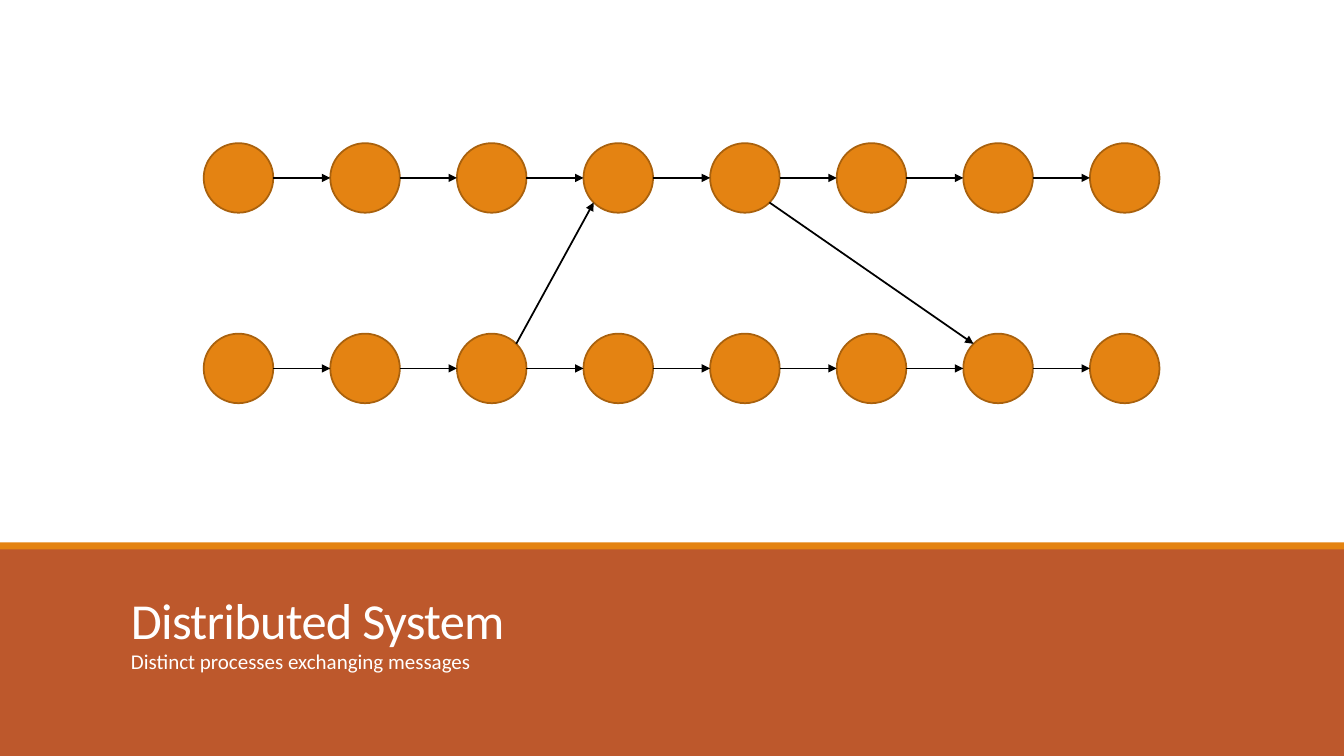
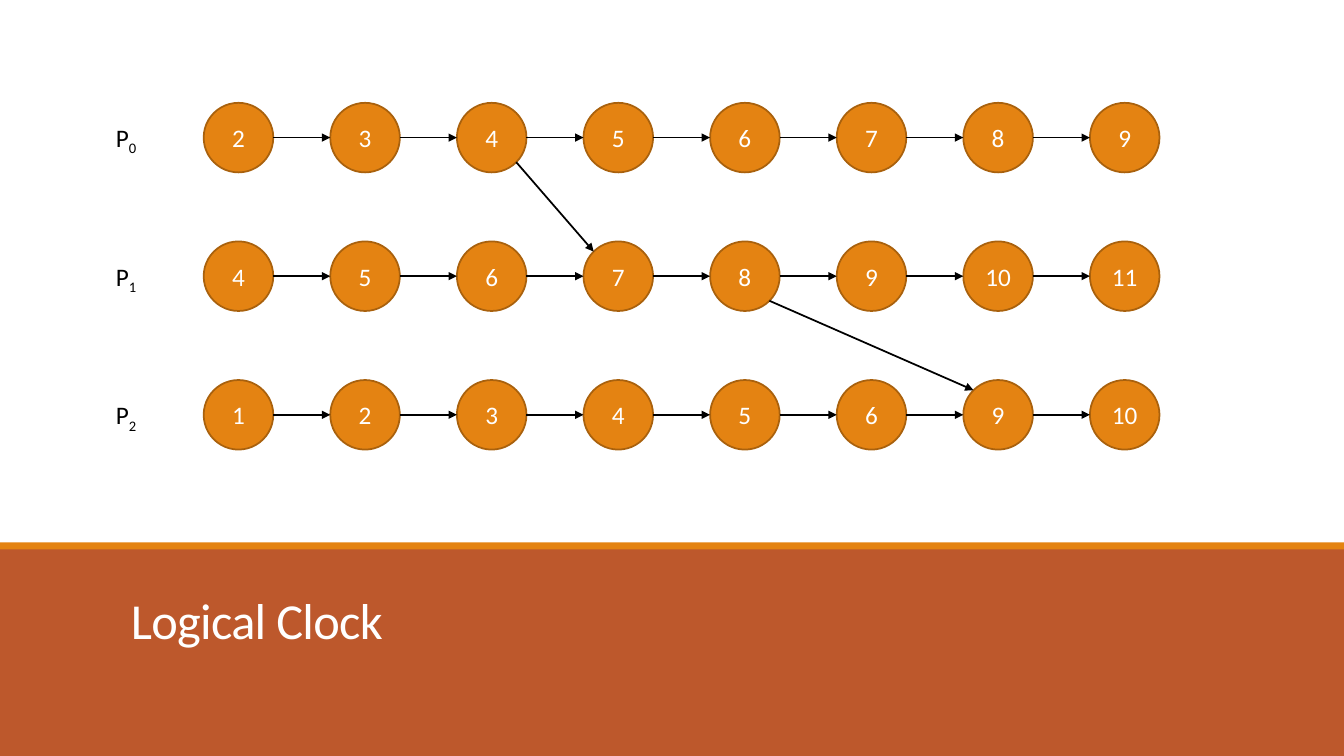
from math import sqrt
from lxml.etree import SubElement as Sub
from pptx import Presentation
from pptx.dml.color import RGBColor as Rgb
from pptx.enum.shapes import MSO_CONNECTOR as Wire, MSO_SHAPE as Kind
from pptx.enum.text import MSO_ANCHOR as Anchor, PP_ALIGN as Align
from pptx.oxml.ns import qn
from pptx.util import Inches, Pt

# Style
COLORS = {"band": "BD582C", "node": "E48312", "edge": "A9610D",
          "ink": "000000", "light": "FFFFFF"}
FONT = "Calibri"
WIDE, HIGH = 13.33, 7.5
COLS, LEFT, RIGHT = 8, 2.02, 10.81
STEP = (RIGHT - LEFT) / (COLS - 1)
SIZE = 0.69
RADIUS = SIZE / 2
STROKE = 1.25


def color(name):
    return Rgb.from_string(COLORS[name])


def write(frame, text, sub="", size=18, ink="ink", align=Align.LEFT,
          anchor=Anchor.TOP, inset=0.05, lead=1, after=0, space=0):
    """Put one formatted paragraph, with an optional subscript, in a frame."""
    frame.word_wrap = True
    frame.vertical_anchor = anchor
    frame.margin_top = frame.margin_bottom = Inches(inset)
    para = frame.paragraphs[0]
    para.alignment, para.line_spacing = align, lead
    para.space_after = Pt(after)
    for part, base in ((text, 0), (sub, -25000)):
        if not part:
            continue
        run = para.add_run()
        run.text = part
        run.font.name, run.font.size = FONT, Pt(size)
        run.font.color.rgb = color(ink)
        props = run.font._element
        if base:
            props.set("baseline", str(base))
        if space:
            props.set("spc", str(space))


class Deck:
    def __init__(self):
        self.show = Presentation()
        self.show.slide_width = Inches(WIDE)
        self.show.slide_height = Inches(HIGH)

    def page(self, title, top, gap, note=""):
        """Start a slide; top and gap set the rows of its grid."""
        self.slide = self.show.slides.add_slide(self.show.slide_layouts[6])
        self.top, self.gap = top, gap
        self.shape(Kind.RECTANGLE, 0, 5.42, WIDE, HIGH - 5.42, "band")
        self.shape(Kind.RECTANGLE, 0, 5.38, WIDE, 0.07, "node")
        self.text(1.2, 5.55, 11.06, 0.9, title, size=36, ink="light",
                  anchor=Anchor.BOTTOM, inset=0, lead=0.85, space=-50)
        if note:
            self.text(1.2, 6.46, 11.06, 0.65, note, size=15, ink="light",
                      inset=0, lead=0.9, after=6)

    def shape(self, kind, x, y, w, h, fill, edge=None):
        item = self.slide.shapes.add_shape(
            kind, Inches(x), Inches(y), Inches(w), Inches(h))
        item.shadow.inherit = False
        item.fill.solid()
        item.fill.fore_color.rgb = color(fill)
        if edge:
            item.line.color.rgb = color(edge)
            item.line.width = Pt(STROKE)
        else:
            item.line.fill.background()
        return item

    def text(self, x, y, w, h, words, **style):
        box = self.slide.shapes.add_textbox(
            Inches(x), Inches(y), Inches(w), Inches(h))
        write(box.text_frame, words, **style)

    def mid(self, col, row):
        return (LEFT + col * STEP + RADIUS,
                self.top + row * self.gap + RADIUS)

    def node(self, col, row, label=""):
        x, y = self.mid(col, row)
        item = self.shape(Kind.OVAL, x - RADIUS, y - RADIUS, SIZE, SIZE,
                          "node", "edge")
        if label:
            write(item.text_frame, label, ink="light", align=Align.CENTER,
                  anchor=Anchor.MIDDLE)

    def arrow(self, start, end):
        """Join two nodes: side to side in a row, else at 45 degree points."""
        (x1, y1), (x2, y2) = self.mid(*start), self.mid(*end)
        turn = (end[1] > start[1]) - (end[1] < start[1])
        dx = RADIUS / sqrt(2) if turn else RADIUS
        dy = turn * dx
        link = self.slide.shapes.add_connector(
            Wire.STRAIGHT, Inches(x1 + dx), Inches(y1 + dy),
            Inches(x2 - dx), Inches(y2 - dy))
        link.line.color.rgb = color("ink")
        link.line.width = Pt(STROKE)
        Sub(link.line._get_or_add_ln(), qn("a:tailEnd"), type="triangle")
        Sub(link._element.spPr, qn("a:effectLst"))

    def chain(self, row, labels):
        for col, label in enumerate(labels):
            self.node(col, row, label)
        for col in range(COLS - 1):
            self.arrow((col, row), (col + 1, row))

    def name(self, row):
        y = self.mid(0, row)[1]
        self.text(1.05, y - 0.2, 0.49, 0.4, "P", sub=str(row))


deck = Deck()

# Two processes
deck.page("Distributed System", 1.42, 1.89,
          "Distinct processes exchanging messages")
for row in range(2):
    deck.chain(row, [""] * COLS)
deck.arrow((2, 1), (3, 0))
deck.arrow((4, 0), (6, 1))

# Three processes with clock values
deck.page("Logical Clock", 1.02, 2.75 / 2)
clocks = ([*range(2, 10)], [*range(4, 12)], [*range(1, 7), 9, 10])
for row, times in enumerate(clocks):
    deck.chain(row, map(str, times))
    deck.name(row)
deck.arrow((2, 0), (3, 1))
deck.arrow((4, 1), (6, 2))

deck.show.save("out.pptx")
